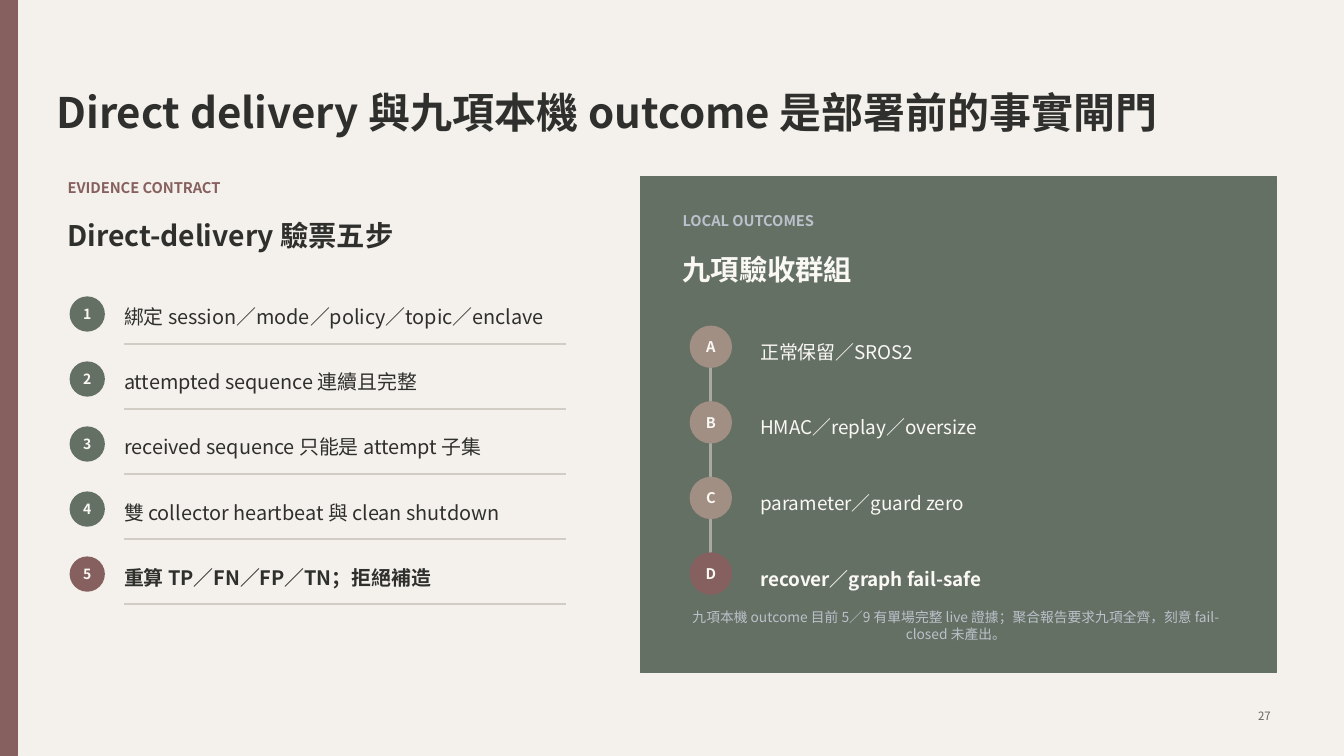
from lxml import etree
from pptx import Presentation
from pptx.dml.color import RGBColor
from pptx.enum.shapes import MSO_CONNECTOR, MSO_SHAPE
from pptx.enum.text import MSO_ANCHOR, PP_ALIGN
from pptx.oxml.ns import qn
from pptx.util import Inches, Pt

# Content
TITLE = "Direct delivery 與九項本機 outcome 是部署前的事實閘門"
PAGE = "27"
STEPS_LABEL = "EVIDENCE CONTRACT"
STEPS_HEADING = "Direct-delivery 驗票五步"
STEPS = [
    "綁定 session／mode／policy／topic／enclave",
    "attempted sequence 連續且完整",
    "received sequence 只能是 attempt 子集",
    "雙 collector heartbeat 與 clean shutdown",
    "重算 TP／FN／FP／TN；拒絕補造",
]
GROUPS_LABEL = "LOCAL OUTCOMES"
GROUPS_HEADING = "九項驗收群組"
GROUPS = [
    ("A", "正常保留／SROS2"),
    ("B", "HMAC／replay／oversize"),
    ("C", "parameter／guard zero"),
    ("D", "recover／graph fail-safe"),
]
FOOTNOTE = ("九項本機 outcome 目前 5／9 有單場完整 live 證據；"
            "聚合報告要求九項全齊，刻意 fail-closed 未產出。")

# Style
FONT = "Noto Sans CJK TC"
PAPER = RGBColor(0xF4, 0xF1, 0xEC)
INK = RGBColor(0x2F, 0x30, 0x2D)
WINE = RGBColor(0x86, 0x60, 0x5F)
GREEN = RGBColor(0x65, 0x70, 0x65)
TAUPE = RGBColor(0xA1, 0x8F, 0x83)
IVORY = RGBColor(0xFA, 0xF8, 0xF3)
MIST = RGBColor(0xBB, 0xC1, 0xCA)
RULE = RGBColor(0xD1, 0xCC, 0xC4)
CHAIN = RGBColor(0xA9, 0xA8, 0xA2)
PAGE_GREY = RGBColor(0x66, 0x66, 0x5F)

# Layout in inches
WIDTH, HEIGHT = 13.33, 7.5
STEP_TOP, STEP_PITCH, STEP_DOT = 2.94, 0.645, 0.35
STEP_DOT_X, STEP_TEXT_X, RULE_WIDTH = 0.69, 1.23, 4.38
GROUP_TOP, GROUP_PITCH, GROUP_DOT = 3.23, 0.75, 0.42
GROUP_DOT_X, GROUP_TEXT_X = 6.84, 7.54
LEFT_X, PANEL_TEXT_X = 0.67, 6.77

prs = Presentation()
prs.slide_width, prs.slide_height = Inches(WIDTH), Inches(HEIGHT)
slide = prs.slides.add_slide(prs.slide_layouts[6])
slide.background.fill.solid()
slide.background.fill.fore_color.rgb = PAPER


def write(shape, text, size, color, bold=False, align=PP_ALIGN.LEFT,
          anchor=MSO_ANCHOR.TOP, inset=0):
    frame = shape.text_frame
    frame.word_wrap = True
    frame.vertical_anchor = anchor
    frame.margin_left = frame.margin_right = Inches(inset)
    frame.margin_top = frame.margin_bottom = Inches(inset)
    paragraph = frame.paragraphs[0]
    paragraph.alignment = align
    run = paragraph.add_run()
    run.text = text
    font = run.font
    font.name, font.size, font.bold = FONT, Pt(size), bold
    font.color.rgb = color
    east_asian = etree.SubElement(run.font._element, qn("a:ea"))
    east_asian.set("typeface", FONT)


def add_text(x, y, w, h, text, size, color, **style):
    box = slide.shapes.add_textbox(Inches(x), Inches(y), Inches(w), Inches(h))
    write(box, text, size, color, **style)


def add_filled(preset, x, y, w, h, color, outlined=False):
    shape = slide.shapes.add_shape(preset, Inches(x), Inches(y), Inches(w), Inches(h))
    shape.shadow.inherit = False
    shape.fill.solid()
    shape.fill.fore_color.rgb = color
    if outlined:
        shape.line.color.rgb = color
        shape.line.width = Pt(0.75)
    else:
        shape.line.fill.background()
    return shape


def add_badge(x, y, diameter, text, size, color):
    badge = add_filled(MSO_SHAPE.OVAL, x, y, diameter, diameter, color)
    write(badge, text, size, IVORY, bold=True, align=PP_ALIGN.CENTER,
          anchor=MSO_ANCHOR.MIDDLE, inset=0.04)


def add_line(x1, y1, x2, y2, color, width):
    line = slide.shapes.add_connector(
        MSO_CONNECTOR.STRAIGHT, Inches(x1), Inches(y1), Inches(x2), Inches(y2))
    line.line.color.rgb = color
    line.line.width = Pt(width)
    etree.SubElement(line._element.spPr, qn("a:effectLst"))


# Side bar, title and page number
add_filled(MSO_SHAPE.RECTANGLE, 0, 0, 0.17, HEIGHT, WINE, outlined=True)
add_text(0.56, 0.75, 12.08, 0.71, TITLE, 30, INK, bold=True, anchor=MSO_ANCHOR.MIDDLE)
add_text(12.33, 7.03, 0.42, 0.19, PAGE, 8.2, PAGE_GREY, align=PP_ALIGN.CENTER)

# Left: numbered steps, the last one stressed
add_text(LEFT_X, 1.77, 2.71, 0.29, STEPS_LABEL, 10.5, WINE, bold=True)
add_text(LEFT_X, 2.17, 4.38, 0.44, STEPS_HEADING, 20.2, INK, bold=True)
for i, step in enumerate(STEPS):
    y = STEP_TOP + i * STEP_PITCH
    last = i == len(STEPS) - 1
    add_badge(STEP_DOT_X, y, STEP_DOT, str(i + 1), 10, WINE if last else GREEN)
    add_text(STEP_TEXT_X, y + 0.03, 4.48, 0.35, step, 14.2, INK, bold=last,
             anchor=MSO_ANCHOR.MIDDLE)
    add_line(STEP_TEXT_X, y + 0.47, STEP_TEXT_X + RULE_WIDTH, y + 0.47, RULE, 1.5)

# Right: panel with a chain of groups, the last one stressed
add_filled(MSO_SHAPE.RECTANGLE, 6.35, 1.75, 6.31, 4.92, GREEN, outlined=True)
add_text(PANEL_TEXT_X, 2.1, 2.71, 0.29, GROUPS_LABEL, 10.5, MIST, bold=True)
add_text(PANEL_TEXT_X, 2.5, 4.06, 0.44, GROUPS_HEADING, 20.2, IVORY, bold=True)
chain_x = GROUP_DOT_X + GROUP_DOT / 2
chain_y = GROUP_TOP + GROUP_DOT / 2
add_line(chain_x, chain_y, chain_x, chain_y + (len(GROUPS) - 1) * GROUP_PITCH, CHAIN, 2.25)
for i, (letter, group) in enumerate(GROUPS):
    y = GROUP_TOP + i * GROUP_PITCH
    last = i == len(GROUPS) - 1
    add_badge(GROUP_DOT_X, y, GROUP_DOT, letter, 10.5, WINE if last else TAUPE)
    add_text(GROUP_TEXT_X, y + 0.01, 4.48, 0.5, group, 13.5, IVORY, bold=last,
             anchor=MSO_ANCHOR.MIDDLE)
add_text(PANEL_TEXT_X, 6.04, 5.42, 0.31, FOOTNOTE, 9.8, MIST, align=PP_ALIGN.CENTER)

prs.save("out.pptx")
